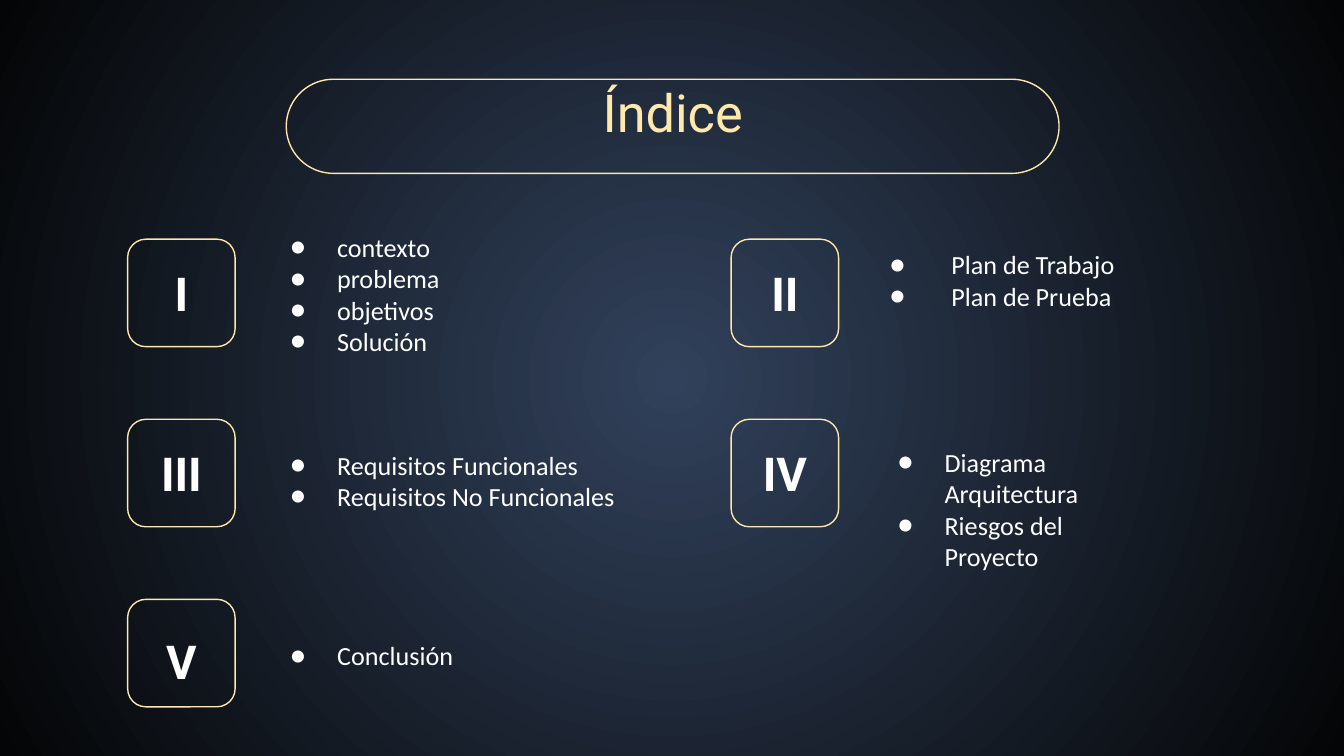
from pptx import Presentation
from pptx.util import Inches, Pt
from pptx.dml.color import RGBColor
from pptx.enum.shapes import MSO_SHAPE as Shape
from pptx.enum.text import PP_ALIGN as Align, MSO_ANCHOR as Anchor
from pptx.oxml.ns import qn
from lxml.etree import SubElement as Sub

HEX = {"gold": "FFE8AB", "white": "FFFFFF", "core": "31415B", "edge": "040506"}
WIDE = 10
HIGH = WIDE * 9 / 16
LEFT, TOP, COL, ROW, SIDE = 0.95, 1.78, 4.49, 1.34, 0.8

CELLS = [
    (0, 0, "I", 0.1, (0.96, -0.16, 2.56, 1.15), 0.35,
     ["contexto", "problema", "objetivos", "Solución"]),
    (1, 0, "II", 0.1, (1.04, -0.03, 2.52, 0.76), 0.46,
     ["Plan de Trabajo", "Plan de Prueba"]),
    (0, 1, "III", 0.1, (0.96, 0.12, 3.15, 0.55), 0.35,
     ["Requisitos Funcionales", "Requisitos No Funcionales"]),
    (1, 1, "IV", 0.1, (0.99, 0.1, 1.83, 0.6), 0.35,
     ["Diagrama Arquitectura", "Riesgos del Proyecto"]),
    (0, 2, "V", 0.16, (0.96, 0.2, 2.11, 0.4), 0.35, ["Conclusión"]),
]


def color(name):
    return RGBColor.from_string(HEX[name])


def place(item, box):
    item.left, item.top, item.width, item.height = map(Inches, box)


def write(item, lines, size, face, tint, bold=False, align=Align.CENTER,
          anchor=Anchor.MIDDLE):
    frame = item.text_frame
    frame.text = "\n".join(lines)
    frame.word_wrap = True
    frame.vertical_anchor = anchor
    frame.margin_left = frame.margin_right = Inches(0.1)
    frame.margin_top = frame.margin_bottom = Inches(0.1)
    for para in frame.paragraphs:
        para.alignment = align
        for run in para.runs:
            font = run.font
            font.size, font.name, font.bold = Pt(size), face, bold
            font.color.rgb = color(tint)


def outline(slide, box, bend):
    item = slide.shapes.add_shape(Shape.ROUNDED_RECTANGLE, *map(Inches, box))
    item.adjustments[0] = bend
    item.shadow.inherit = False
    item.fill.background()
    item.line.color.rgb = color("gold")
    item.line.width = Pt(0.75)


def textbox(slide, box):
    return slide.shapes.add_textbox(*map(Inches, box))


def bullet(para, hang):
    props = para._p.get_or_add_pPr()
    props.set("marL", str(Inches(0.5)))
    props.set("indent", str(-Inches(hang)))
    tint = Sub(props, qn("a:buClr"))
    Sub(tint, qn("a:srgbClr"), val=HEX["white"])
    Sub(props, qn("a:buFont"), typeface="Calibri")
    Sub(props, qn("a:buChar"), char="●")


def backdrop(slide):
    fill = slide.background.fill
    fill.gradient()
    for stop, name, spot in zip(fill.gradient_stops, ("core", "edge"), (0, 1)):
        stop.color.rgb = color(name)
        stop.position = spot
    grad = slide.background._cSld.find(".//" + qn("a:gradFill"))
    grad.remove(grad.find(qn("a:lin")))
    ring = Sub(grad, qn("a:path"), path="circle")
    Sub(ring, qn("a:fillToRect"), l="50000", t="50000", r="50000", b="50000")


def header(slide, box):
    x, y, w, h = box
    outline(slide, box, 0.5)
    title = slide.shapes.title
    place(title, (x - 1.34, y - 0.11, w + 2.68, h))
    write(title, ["Índice"], 28, "Roboto", "gold")


def entry(slide, box, mark, drop, area, hang, items):
    x, y, w, h = box
    outline(slide, box, 0.17)
    label = textbox(slide, (x, y + drop, w, 0.6))
    write(label, [mark], 25, "Roboto", "white", bold=True)
    dx, dy, wide, high = area
    body = textbox(slide, (x + dx, y + dy, wide, high))
    write(body, items, 14, "Calibri", "white", align=Align.LEFT,
          anchor=Anchor.TOP)
    for para in body.text_frame.paragraphs:
        bullet(para, hang)


def main():
    deck = Presentation()
    deck.slide_width, deck.slide_height = Inches(WIDE), Inches(HIGH)
    slide = deck.slides.add_slide(deck.slide_layouts[5])
    backdrop(slide)
    header(slide, (2.13, 0.59, 5.75, 0.7))
    for col, row, *rest in CELLS:
        entry(slide, (LEFT + col * COL, TOP + row * ROW, SIDE, SIDE), *rest)
    deck.save("out.pptx")


if __name__ == "__main__":
    main()
